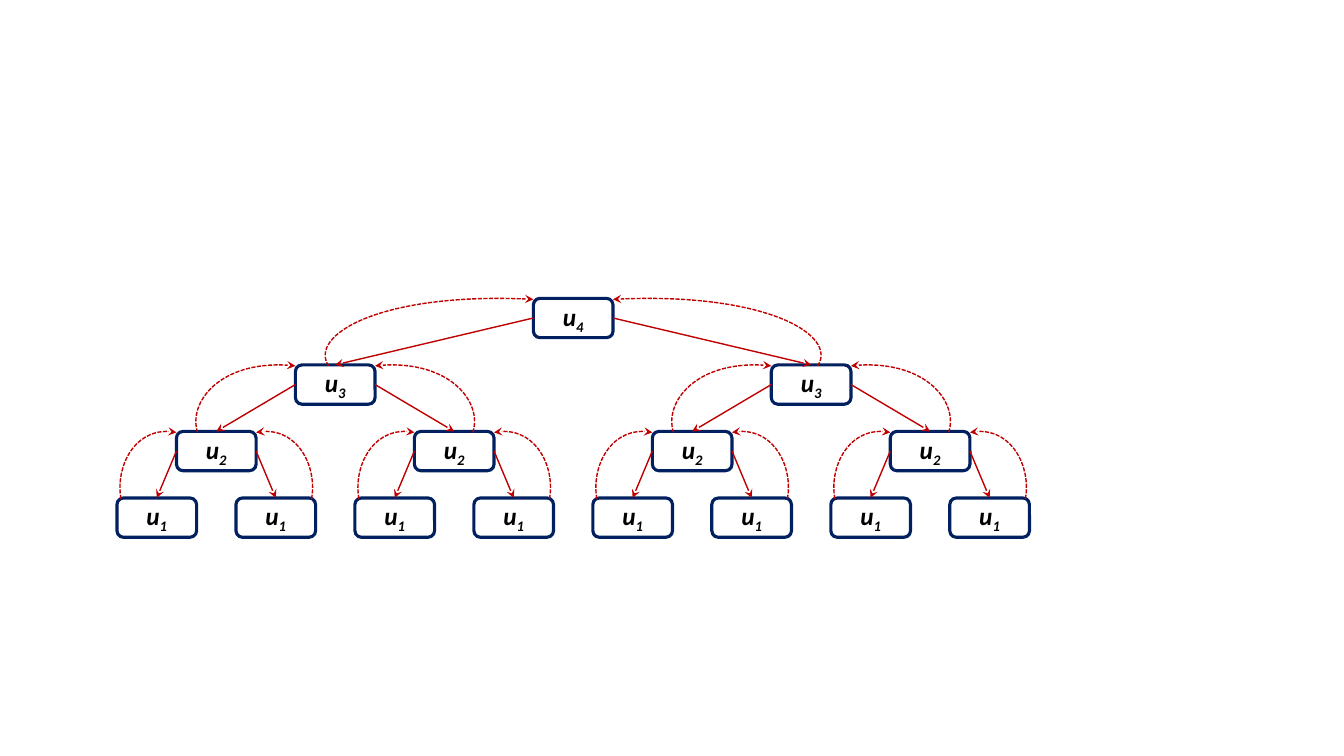
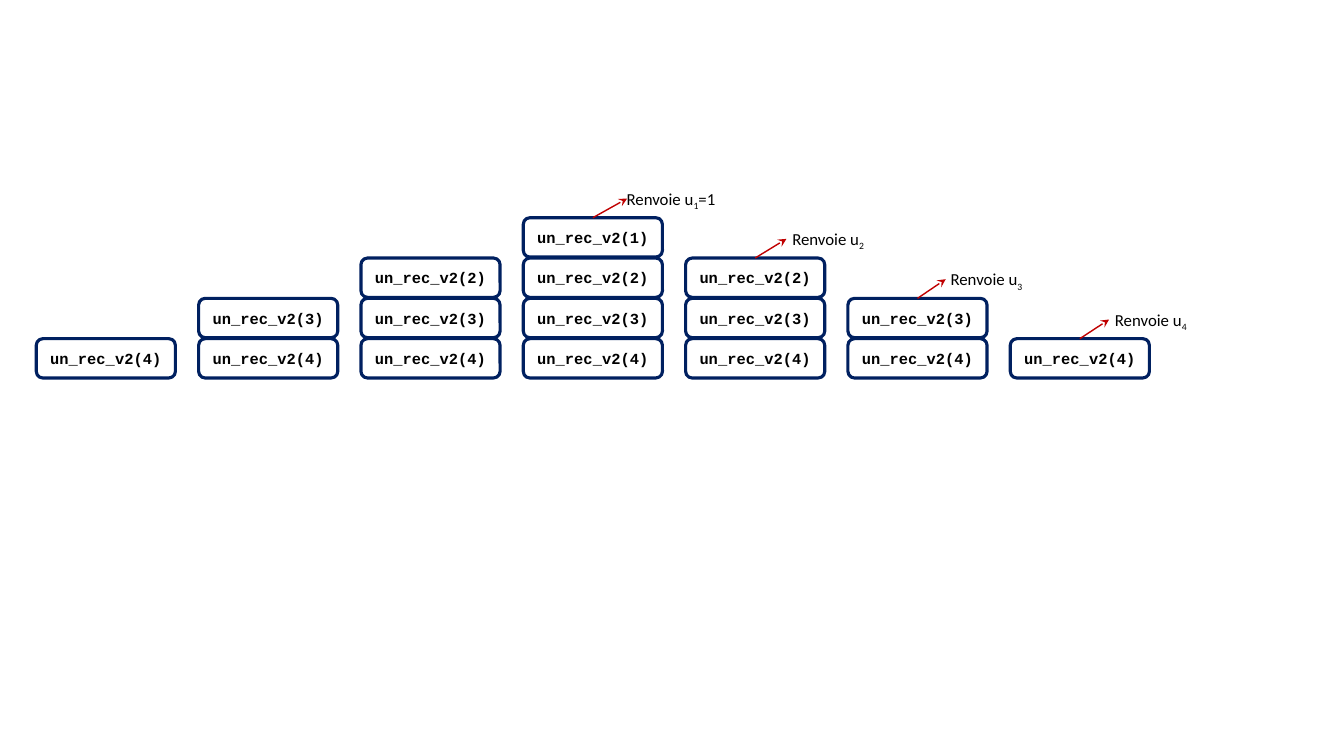
from lxml import etree
from pptx import Presentation
from pptx import util as u
from pptx.dml.color import RGBColor
from pptx.enum import dml, shapes, text
from pptx.oxml.ns import qn

NAVY, RED, WHITE, BLACK = "002060", "C00000", "FFFFFF", "000000"
BOX_HEIGHT = 0.39
TOP, LEFT, RIGHT = 0, 1, 3  # connection sites of a box

# Call tree
NODE_WIDTH = 0.79
ROOT_LEFT, ROOT_TOP, ROOT_RANK = 5.29, 2.96, 4
LEVEL_STEP = 0.66
CHILD_OFFSET = 2.36  # root to child, halved at each level
RETURN_INSET = {1: 0.04, 2: 0.21, 3: 0.33}  # start of the return curve, by child rank

# Call stacks
CALL_WIDTH = 1.38
STACK_LEFT, STACK_PITCH = 0.36, 1.61
STACK_BASE, CALL_STEP = 3.36, 0.4
STACK_DEPTHS = (1, 2, 3, 4, 3, 2, 1)
RETURN_RISE = 0.19


def color(hex_string):
    return RGBColor.from_string(hex_string)


def write(frame, *parts, size=12, font="Calibri", bold=False, italic=False,
          align=text.PP_ALIGN.LEFT):
    """Write one paragraph; every second part is a subscript."""
    paragraph = frame.paragraphs[0]
    paragraph.alignment = align
    for index, part in enumerate(parts):
        run = paragraph.add_run()
        run.text = part
        run.font.size = u.Pt(size)
        run.font.name = font
        run.font.bold = bold
        run.font.italic = italic
        run.font.color.rgb = color(BLACK)
        if index % 2:
            run._r.get_or_add_rPr().set("baseline", "-25000")


def add_box(slide, left, top, width, *parts, **text_format):
    box = slide.shapes.add_shape(
        shapes.MSO_SHAPE.ROUNDED_RECTANGLE,
        u.Inches(left), u.Inches(top), u.Inches(width), u.Inches(BOX_HEIGHT))
    box.shadow.inherit = False
    box.fill.solid()
    box.fill.fore_color.rgb = color(WHITE)
    box.line.color.rgb = color(NAVY)
    box.line.width = u.Pt(2.25)
    box.text_frame.vertical_anchor = text.MSO_ANCHOR.MIDDLE
    write(box.text_frame, *parts, align=text.PP_ALIGN.CENTER, **text_format)
    return box


def style_arrow(line, dash=None):
    line.color.rgb = color(RED)
    line.width = u.Pt(1)
    if dash:
        line.dash_style = dash
    etree.SubElement(line._get_or_add_ln(), qn("a:tailEnd"), type="stealth")


def add_arrow(slide, source, source_site, tip=(0, 0), target=None):
    """Arrow from a box side to the top of a target box or to a free tip."""
    arrow = slide.shapes.add_connector(
        shapes.MSO_CONNECTOR.STRAIGHT, 0, 0, u.Inches(tip[0]), u.Inches(tip[1]))
    arrow.begin_connect(source, source_site)
    if target is not None:
        arrow.end_connect(target, TOP)
    style_arrow(arrow.line)
    etree.SubElement(arrow._element.spPr, qn("a:effectLst"))


def add_return_curve(slide, start, end):
    """Dashed Bezier arrow bulging outwards and above its end."""
    def along(x_share, y_share):
        return (u.Inches(start[0] + x_share * (end[0] - start[0])),
                u.Inches(start[1] + y_share * (end[1] - start[1])))

    builder = slide.shapes.build_freeform(*along(0, 0))
    builder.add_line_segments(
        [along(-0.1, 0.46), along(0.26, 1.12), along(1, 1)], close=False)
    curve = builder.convert_to_shape()
    # Turn the three segments into one cubic curve
    outline = curve._element.find(".//" + qn("a:path"))
    bezier = etree.SubElement(outline, qn("a:cubicBezTo"))
    for segment in outline.findall(qn("a:lnTo")):
        bezier.append(segment[0])
        outline.remove(segment)
    curve.shadow.inherit = False
    curve.fill.background()
    style_arrow(curve.line, dml.MSO_LINE.SQUARE_DOT)


def add_calls(slide, rank, left, top, calls):
    """Draw a node and its subtree, noting each call to be linked."""
    node = add_box(slide, left, top, NODE_WIDTH, "u", str(rank),
                   size=18, bold=True, italic=True)
    if rank > 1:
        offset = CHILD_OFFSET / 2 ** (ROOT_RANK - rank)
        for side in (-1, 1):
            child_left, child_top = left + side * offset, top + LEVEL_STEP
            child = add_calls(slide, rank - 1, child_left, child_top, calls)
            edge = NODE_WIDTH if side > 0 else 0
            start = (child_left + edge - side * RETURN_INSET[rank - 1],
                     child_top + 0.01)
            calls.append((node, child, side, start, (left + edge, top + 0.01)))
    return node


def draw_call_tree(slide):
    calls = []
    add_calls(slide, ROOT_RANK, ROOT_LEFT, ROOT_TOP, calls)
    for node, child, side, start, end in calls:
        add_arrow(slide, node, RIGHT if side > 0 else LEFT, target=child)
        add_return_curve(slide, start, end)


def add_label(slide, left, top, width, *parts, **text_format):
    label = slide.shapes.add_textbox(
        u.Inches(left), u.Inches(top), u.Inches(width), u.Inches(0.3))
    label.text_frame.word_wrap = False
    label.text_frame.auto_size = text.MSO_AUTO_SIZE.SHAPE_TO_FIT_TEXT
    write(label.text_frame, *parts, **text_format)


def draw_call_stacks(slide):
    # Stacks, each from the first call upwards
    last_calls = []
    for column, depth in enumerate(STACK_DEPTHS):
        for row in range(depth):
            call = add_box(slide, STACK_LEFT + column * STACK_PITCH,
                           STACK_BASE - row * CALL_STEP, CALL_WIDTH,
                           f"un_rec_v2({4 - row})",
                           size=11, font="Courier New", bold=True)
        last_calls.append(call)

    # Returned values: tip of the arrow, then place and text of the label
    returns = (
        (6.22, 6.09, 1.13, ("Renvoie u", "1", "=1"), text.PP_ALIGN.CENTER),
        (7.8, 7.76, 0.96, ("Renvoie u", "2"), text.PP_ALIGN.LEFT),
        (9.38, 9.33, 0.93, ("Renvoie u", "3"), text.PP_ALIGN.LEFT),
        (11, 10.96, 0.93, ("Renvoie u", "4"), text.PP_ALIGN.LEFT),
    )
    for row, (tip, left, width, parts, align) in enumerate(returns):
        tip_top = STACK_BASE - (3 - row) * CALL_STEP - RETURN_RISE
        add_arrow(slide, last_calls[3 + row], TOP, tip=(tip, tip_top))
        add_label(slide, left, tip_top - 0.15, width, *parts, align=align)


def main():
    deck = Presentation()
    deck.slide_width, deck.slide_height = u.Inches(13.33), u.Inches(7.5)
    for draw in (draw_call_tree, draw_call_stacks):
        draw(deck.slides.add_slide(deck.slide_layouts[6]))
    deck.save("out.pptx")


if __name__ == "__main__":
    main()
